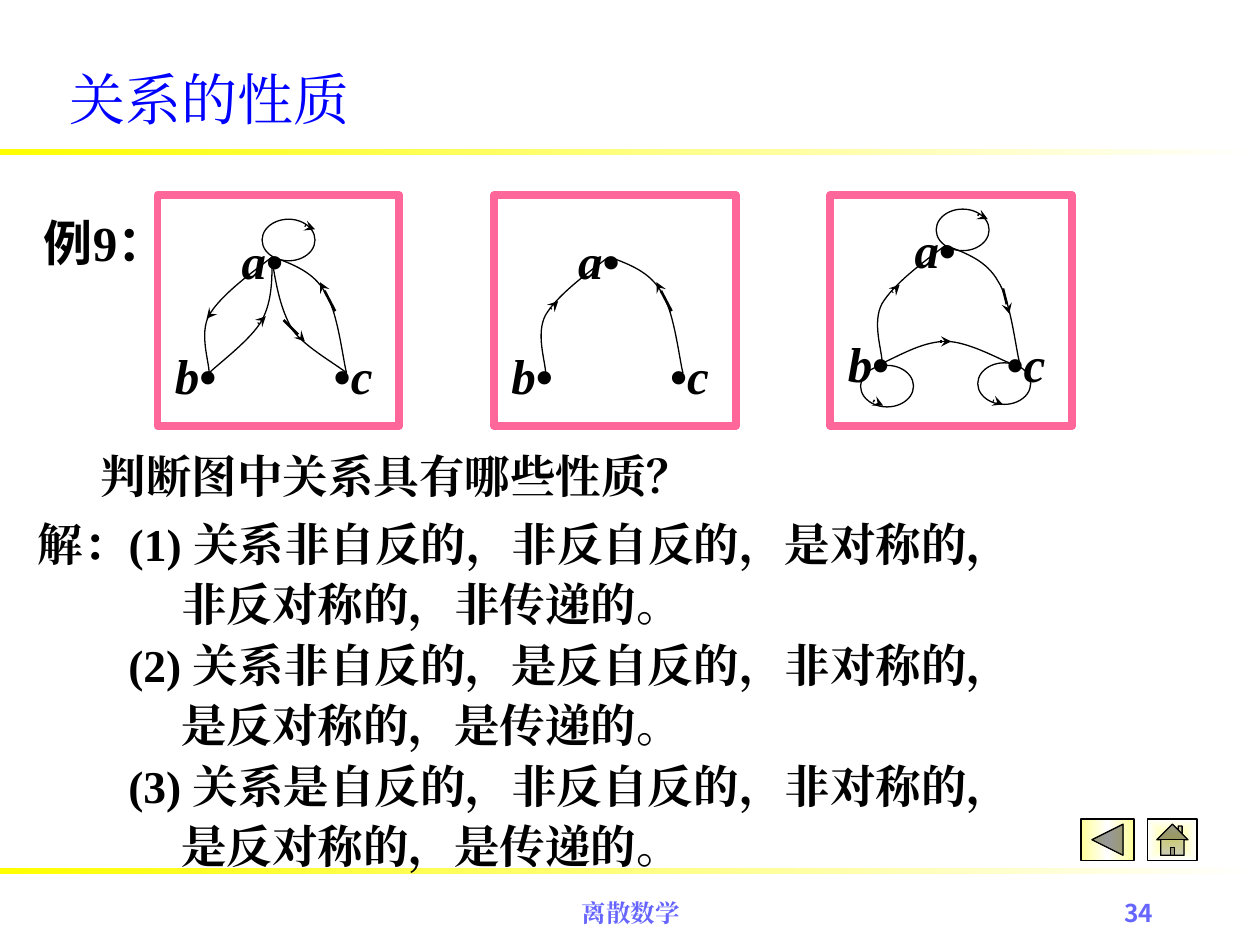
import pptx
import pptx.util
import pptx.dml.color
import pptx.enum.shapes
import pptx.enum.text
import pptx.oxml
import pptx.oxml.ns

Inches = pptx.util.Inches
Pt = pptx.util.Pt
SHAPE = pptx.enum.shapes.MSO_SHAPE
ALIGN = pptx.enum.text.PP_ALIGN
ANCHOR = pptx.enum.text.MSO_ANCHOR
qn = pptx.oxml.ns.qn

COLORS = {"ink": "000000", "paper": "FFFFFF", "title": "0000FF", "frame": "FF6699",
          "bar": "FFFF00", "button": "FFFF99", "foot": "6666FF"}
SERIF = "Times New Roman"
SANS = "Noto Sans CJK SC"

RIGHT = [(0.92, 2.04), (1.08, 2.1), (1.24, 2.16), (1.33, 2.32),
         (1.43, 2.47), (1.47, 2.84), (1.5, 2.96)]
LEFT = [(0.91, 2.04), (0.71, 2.19), (0.5, 2.35), (0.41, 2.5),
        (0.33, 2.65), (0.41, 2.87), (0.41, 2.96)]

GRAPHS = [
    {"rise": 0,
     "arcs": [[(0.91, 2.04), (0.91, 2.22), (0.91, 2.39), (0.83, 2.54),
               (0.75, 2.69), (0.48, 2.89), (0.41, 2.96)],
              [(0.92, 2.13), (0.95, 2.31), (0.99, 2.49), (1.08, 2.63),
               (1.18, 2.76), (1.43, 2.9), (1.5, 2.96)]],
     "loops": [(0.83, 1.74)],
     "tips": [(1, 2.54, 1.17, 2.71), (1.41, 2.47, 1.29, 2.24), (0.44, 2.47, 0.39, 2.53),
              (0.8, 2.57, 0.86, 2.51), (1.17, 1.79, 1.25, 1.82)]},
    {"rise": 0, "arcs": [], "loops": [],
     "tips": [(1.41, 2.47, 1.29, 2.24), (0.45, 2.45, 0.51, 2.39)]},
    {"rise": 0.09,
     "arcs": [[(0.42, 2.88), (0.59, 2.8), (0.75, 2.71), (0.92, 2.71),
               (1.09, 2.71), (1.34, 2.85), (1.42, 2.88)]],
     "loops": [(0.84, 1.66), (1.17, 2.88), (0.24, 2.9)],
     "tips": [(0.87, 2.71, 0.96, 2.71), (1.37, 2.29, 1.42, 2.49), (0.49, 2.32, 0.55, 2.26),
              (1.17, 1.7, 1.25, 1.74), (1.29, 3.18, 1.37, 3.21), (0.34, 3.18, 0.42, 3.22)]},
]

ANSWERS = [
    ("解：(1) 关系非自反的，非反自反的，是对称的，", 0, "非反对称的，非传递的。"),
    ("(2) 关系非自反的，是反自反的，非对称的，", 0.72, "是反对称的，是传递的。"),
    ("(3) 关系是自反的，非反自反的，非对称的，", 0.72, "是反对称的，是传递的。"),
]


def rgb(name):
    return pptx.dml.color.RGBColor.from_string(COLORS[name])


def add_run(para, text, size, color="ink", face=SERIF, bold=True, slant=False):
    run = para.add_run()
    run.text = text
    font = run.font
    font.size, font.bold, font.italic = Pt(size), bold, slant
    font.color.rgb = rgb(color)
    font.name = face
    pptx.oxml.ns
    east = run._r.get_or_add_rPr().makeelement(qn("a:ea"), {"typeface": face})
    run._r.rPr.append(east)


def add_box(shapes, x, y, w, h):
    box = shapes.add_textbox(Inches(x), Inches(y), Inches(w), Inches(h))
    box.text_frame.word_wrap = True
    return box.text_frame


def add_line(shapes, box, text, size, align=None, **style):
    frame = add_box(shapes, *box)
    para = frame.paragraphs[0]
    para.alignment = align
    add_run(para, text, size, **style)
    return frame


def set_line(shape, color, width):
    shape.line.color.rgb = rgb(color)
    shape.line.width = Pt(width)


def add_shape(shapes, kind, x, y, w, h):
    shape = shapes.add_shape(kind, Inches(x), Inches(y), Inches(w), Inches(h))
    shape.shadow.inherit = False
    shape.fill.background()
    shape.line.fill.background()
    return shape


def blend(shape, stops, shade):
    marks = "".join(f'<a:gs pos="{pos * 1000}"><a:srgbClr val="{COLORS[name]}"/></a:gs>'
                    for pos, name in stops)
    fill = pptx.oxml.parse_xml(
        f'<a:gradFill {pptx.oxml.ns.nsdecls("a")}><a:gsLst>{marks}</a:gsLst>{shade}</a:gradFill>')
    props = shape._element.spPr
    props.replace(props.find(qn("a:noFill")), fill)


def add_bar(shapes, y):
    bar = add_shape(shapes, SHAPE.RECTANGLE, 0, y, 10, 0.05)
    blend(bar, [(0, "paper"), (100, "bar")], '<a:lin ang="10800000" scaled="0"/>')


def add_button(shapes, kind, x, w, stops, shade):
    button = add_shape(shapes, kind, x, 6.5, w, 0.33)
    blend(button, stops, shade)
    set_line(button, "ink", 0.75)


def add_arc(shapes, x, rise, points):
    spots = [(Inches(x + px), Inches(py - rise)) for px, py in points]
    maker = shapes.build_freeform(*spots[0])
    maker.add_line_segments(spots[1:], close=False)
    arc = maker.convert_to_shape()
    steps = list(arc._element.iter(qn("a:lnTo")))
    for i in range(0, len(steps), 3):
        curve = steps[i].makeelement(qn("a:cubicBezTo"), {})
        steps[i].addprevious(curve)
        for step in steps[i:i + 3]:
            curve.append(step[0])
            step.getparent().remove(step)
    arc.shadow.inherit = False
    arc.fill.background()
    set_line(arc, "ink", 0.75)


def add_tip(shapes, x, x1, y1, x2, y2):
    tip = shapes.add_connector(pptx.enum.shapes.MSO_CONNECTOR.STRAIGHT,
                               Inches(x + x1), Inches(y1), Inches(x + x2), Inches(y2))
    set_line(tip, "ink", 1.5)
    ln = tip.line._get_or_add_ln()
    ln.append(ln.makeelement(qn("a:tailEnd"), {"type": "stealth"}))
    props = tip._element.spPr
    props.append(props.makeelement(qn("a:effectLst"), {}))


def add_node(shapes, x, y, w, text):
    para = add_box(shapes, x, y, w, 0.57).paragraphs[0]
    for sign in text:
        add_run(para, sign, 28, slant=sign != "•")


def add_graph(slide, x, graph):
    shapes = slide.shapes.add_group_shape().shapes
    frame = add_shape(shapes, SHAPE.RECTANGLE, x, 1.55, 1.92, 1.83)
    frame.fill.solid()
    frame.fill.fore_color.rgb = rgb("paper")
    set_line(frame, "frame", 4.5)
    rise = graph["rise"]
    for points in (RIGHT, LEFT):
        add_arc(shapes, x, rise, points)
    for points in graph["arcs"]:
        add_arc(shapes, x, 0, points)
    for dx, y, w, text in [(0.57, 1.78, 0.68, "a•"), (0.04, 2.69, 0.58, "b•"),
                           (1.3, 2.69, 0.54, "•c")]:
        add_node(shapes, x + dx, y - rise, w, text)
    for dx, y in graph["loops"]:
        set_line(add_shape(shapes, SHAPE.OVAL, x + dx, y, 0.42, 0.33), "ink", 0.75)
    for tip in graph["tips"]:
        add_tip(shapes, x, *tip)


def add_answer(shapes, y, first, inset, second):
    frame = add_box(shapes, 0.2, y, 8.3, 1.06)
    for para, text, left in [(frame.paragraphs[0], first, inset),
                             (frame.add_paragraph(), second, 1.14)]:
        para.line_spacing = Pt(34.4)
        para._p.get_or_add_pPr().set("marL", str(Inches(left)))
        add_run(para, text, 26)


def main():
    deck = pptx.Presentation()
    deck.slide_width, deck.slide_height = Inches(10), Inches(7.5)
    slide = deck.slides.add_slide(deck.slide_layouts[6])
    shapes = slide.shapes

    for y in (1.18, 6.89):
        add_bar(shapes, y)
    title = add_line(shapes, (0.45, 0.46, 8.5, 0.64), "关系的性质", 32,
                     color="title", bold=False)
    title.vertical_anchor = ANCHOR.MIDDLE

    label = add_box(shapes, 0.25, 1.5, 1.25, 0.69).paragraphs[0]
    label.line_spacing = Pt(43.4)
    for text, face in [("例", SANS), ("9", SERIF), ("：", SANS)]:
        add_run(label, text, 28, face=face)

    for i, graph in enumerate(GRAPHS):
        add_graph(slide, 1.25 + 2.67 * i, graph)

    ask = add_line(shapes, (0.7, 3.4, 5.64, 0.64), "判断图中关系具有哪些性质？", 26)
    ask.paragraphs[0].line_spacing = Pt(39)
    for i, answer in enumerate(ANSWERS):
        add_answer(shapes, 4 + 0.96 * i, *answer)

    add_button(shapes, SHAPE.ACTION_BUTTON_BACK_OR_PREVIOUS, 8.58, 0.42,
               [(0, "button"), (50, "paper"), (100, "button")],
               '<a:lin ang="10800000" scaled="0"/>')
    add_button(shapes, SHAPE.ACTION_BUTTON_HOME, 9.11, 0.39,
               [(0, "button"), (100, "paper")],
               '<a:path path="rect"><a:fillToRect l="50000" t="50000" r="50000" b="50000"/></a:path>')

    add_line(shapes, (3.42, 7.08, 3.17, 0.4), "离散数学", 14, ALIGN.CENTER, color="foot")
    add_line(shapes, (7.17, 7.08, 2.08, 0.4), "34", 14, ALIGN.RIGHT, color="foot", face=SANS)
    deck.save("out.pptx")


if __name__ == "__main__":
    main()
